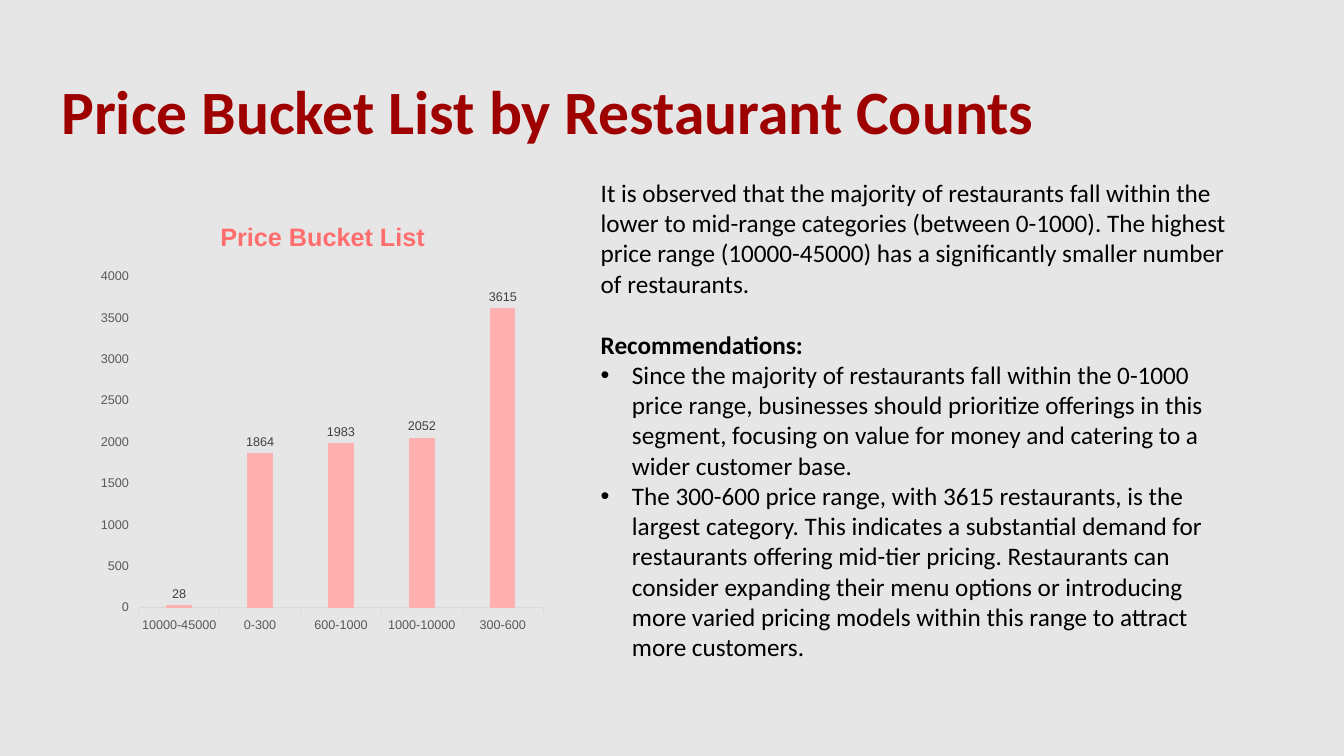
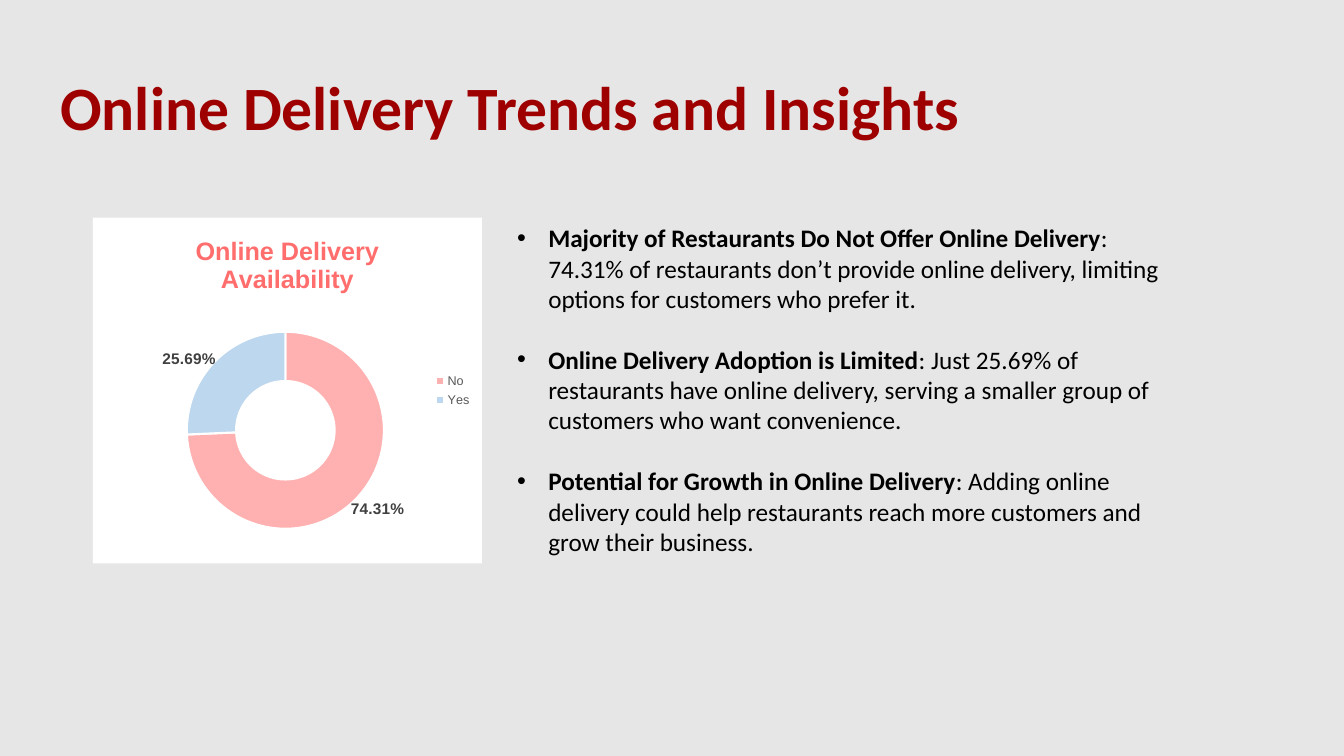
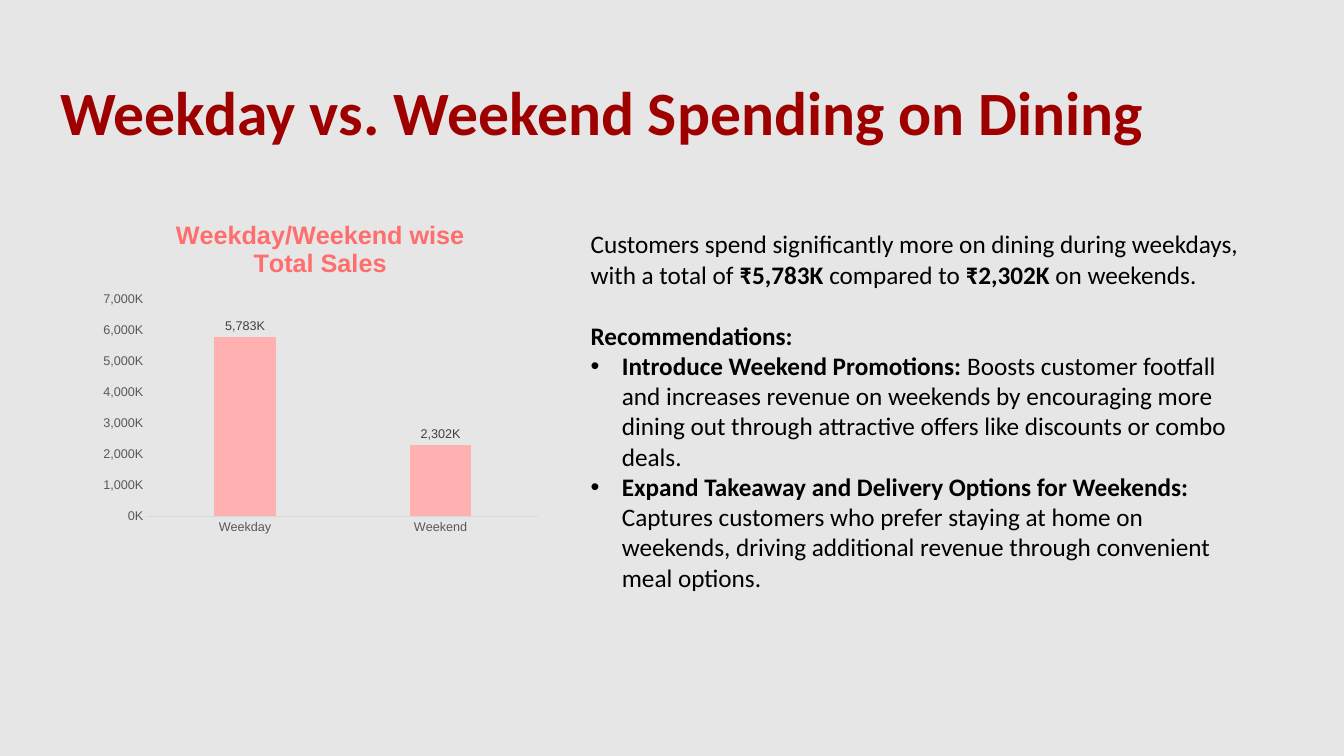
from copy import deepcopy
from dataclasses import dataclass

from pptx import Presentation
from pptx.chart.data import CategoryChartData
from pptx.dml.color import RGBColor as RGB
from pptx.enum.chart import XL_CHART_TYPE as ChartType
from pptx.enum.chart import XL_LABEL_POSITION as LabelPosition
from pptx.enum.chart import XL_LEGEND_POSITION as LegendPosition
from pptx.enum.chart import XL_TICK_MARK as TickMark
from pptx.enum.text import MSO_ANCHOR as Anchor
from pptx.oxml import parse_xml
from pptx.oxml.ns import nsdecls, qn
from pptx.util import Inches, Pt


@dataclass(frozen=True)
class Theme:
    background: RGB = RGB.from_string("E7E6E6")
    title: RGB = RGB.from_string("9E0000")
    body: RGB = RGB.from_string("000000")
    chart_title: RGB = RGB.from_string("FF6D6D")
    pink: RGB = RGB.from_string("FFB1B1")
    blue: RGB = RGB.from_string("BDD7EE")
    white: RGB = RGB.from_string("FFFFFF")
    axis_text: RGB = RGB.from_string("595959")
    axis_line: RGB = RGB.from_string("D9D9D9")
    label: RGB = RGB.from_string("404040")
    text_font: str = "Calibri"
    chart_font: str = "Arial"
    title_size: Pt = Pt(44)
    body_size: Pt = Pt(18)
    paragraph_gap: Pt = Pt(22)
    chart_title_size: Pt = Pt(18)
    chart_size: Pt = Pt(10)
    axis_size: Pt = Pt(9)
    share_size: Pt = Pt(11)


THEME = Theme()
THOUSANDS = r"#,##0,\K"

# Each paragraph is (bulleted, gap before, [(text, bold), ...]).
PAGES = [
    dict(
        title="Price Bucket List by Restaurant Counts",
        title_at=(0.51, 0.41),
        body_at=(5.86, 1.71, 6.56, 4.95),
        body=[
            (False, False, [("It is observed that the majority of restaurants fall within the lower to mid-range categories (between 0-1000). The highest price range (10000-45000) has a significantly smaller number of restaurants.", False)]),
            (False, True, [("Recommendations:", True)]),
            (True, False, [("Since the majority of restaurants fall within the 0-1000 price range, businesses should prioritize offerings in this segment, focusing on value for money and catering to a wider customer base.", False)]),
            (True, False, [("The 300-600 price range, with 3615 restaurants, is the largest category. This indicates a substantial demand for restaurants offering mid-tier pricing. Restaurants can consider expanding their menu options or introducing more varied pricing models within this range to attract more customers.", False)]),
        ],
        kind=ChartType.COLUMN_CLUSTERED,
        chart_title="Price Bucket List",
        chart_at=(0.92, 2, 4.56, 4.38),
        plot_at=(0.1, 0.17, 0.88, 0.75),
        categories=["10000-45000", "0-300", "600-1000", "1000-10000", "300-600"],
        values=[28, 1864, 1983, 2052, 3615],
        number_format="General",
        tick=TickMark.OUTSIDE,
    ),
    dict(
        title="Online Delivery Trends and Insights",
        title_at=(0.5, 0.37),
        body_at=(5.03, 2.16, 6.67, 3.43),
        body=[
            (True, False, [("Majority of Restaurants Do Not Offer Online Delivery", True), (": 74.31% of restaurants don’t provide online delivery, limiting options for customers who prefer it.", False)]),
            (True, True, [("Online Delivery Adoption is Limited", True), (": Just 25.69% of restaurants have online delivery, serving a smaller group of customers who want convenience.", False)]),
            (True, True, [("Potential for Growth in Online Delivery", True), (": Adding online delivery could help restaurants reach more customers and grow their business.", False)]),
        ],
        kind=ChartType.DOUGHNUT,
        chart_title="Online Delivery Availability",
        chart_at=(0.92, 2.16, 3.86, 3.43),
        plot_at=(0.19, 0.33, 0.61, 0.57),
        categories=["No", "Yes"],
        values=[0.7431, 0.2569],
        number_format="0.00%",
    ),
    dict(
        title="Weekday vs. Weekend Spending on Dining",
        title_at=(0.5, 0.42),
        body_at=(5.76, 2.22, 6.66, 3.74),
        body=[
            (False, False, [("Customers spend significantly more on dining during weekdays, with a total of ", False), ("₹5,783K", True), (" compared to ", False), ("₹2,302K", True), (" on weekends.", False)]),
            (False, True, [("Recommendations:", True)]),
            (True, False, [("Introduce Weekend Promotions: ", True), ("Boosts customer footfall and increases revenue on weekends by encouraging more dining out through attractive offers like discounts or combo deals.", False)]),
            (True, False, [("Expand Takeaway and Delivery Options for Weekends: ", True), ("Captures customers who prefer staying at home on weekends, driving additional revenue through convenient meal options.", False)]),
        ],
        kind=ChartType.COLUMN_CLUSTERED,
        chart_title="Weekday/Weekend wise Total Sales",
        chart_at=(0.92, 2, 4.51, 3.36),
        plot_at=(0.12, 0.29, 0.86, 0.64),
        categories=["Weekday", "Weekend"],
        values=[5783000, 2302000],
        number_format=THOUSANDS,
        tick=TickMark.NONE,
    ),
]


def style_font(font, name, size, color, bold=False):
    font.name, font.size, font.bold = name, size, bold
    font.color.rgb = color


def manual_layout(x, y, width, height, inner=False):
    """Return a c:layout placed by fractions of the chart area."""
    target = '<c:layoutTarget val="inner"/>' if inner else ""
    return parse_xml(
        f'<c:layout {nsdecls("c")}><c:manualLayout>{target}'
        '<c:xMode val="edge"/><c:yMode val="edge"/>'
        f'<c:x val="{x}"/><c:y val="{y}"/><c:w val="{width}"/><c:h val="{height}"/>'
        "</c:manualLayout></c:layout>"
    )


deck = Presentation()
deck.slide_width, deck.slide_height = Inches(13.33), Inches(7.5)
master_fill = deck.slide_master.background.fill
master_fill.solid()
master_fill.fore_color.rgb = THEME.background

for content in PAGES:
    page = deck.slides.add_slide(deck.slide_layouts[6])

    left, top = content["title_at"]
    title_box = page.shapes.add_textbox(Inches(left), Inches(top), Inches(11.5), Inches(1.45))
    title_box.text_frame.word_wrap = True
    title_box.text_frame.vertical_anchor = Anchor.MIDDLE
    para = title_box.text_frame.paragraphs[0]
    para.line_spacing = 0.9
    span = para.add_run()
    span.text = content["title"]
    style_font(span.font, THEME.text_font, THEME.title_size, THEME.title, True)

    body_box = page.shapes.add_textbox(*map(Inches, content["body_at"]))
    frame = body_box.text_frame
    frame.word_wrap = True
    for index, (bulleted, gap, spans) in enumerate(content["body"]):
        para = frame.add_paragraph() if index else frame.paragraphs[0]
        if gap:
            para.space_before = THEME.paragraph_gap
        if bulleted:
            properties = para._p.get_or_add_pPr()
            properties.set("marL", str(Inches(0.31)))
            properties.set("indent", str(-Inches(0.31)))
            properties.append(parse_xml(f'<a:buFont {nsdecls("a")} typeface="Arial"/>'))
            properties.append(parse_xml(f'<a:buChar {nsdecls("a")} char="•"/>'))
        for text, bold in spans:
            span = para.add_run()
            span.text = text
            style_font(span.font, THEME.text_font, THEME.body_size, THEME.body, bold)

    data = CategoryChartData(number_format=content["number_format"])
    data.categories = content["categories"]
    data.add_series("Series 1", content["values"])
    chart = page.shapes.add_chart(content["kind"], *map(Inches, content["chart_at"]), data).chart
    style_font(chart.font, THEME.chart_font, THEME.chart_size, THEME.body)
    chart.has_title = True
    chart.chart_title.include_in_layout = False
    span = chart.chart_title.text_frame.paragraphs[0].add_run()
    span.text = content["chart_title"]
    style_font(span.font, THEME.chart_font, THEME.chart_title_size, THEME.chart_title, True)

    chart_xml = chart._chartSpace.find(qn("c:chart"))
    plot_area = chart_xml.find(qn("c:plotArea"))
    for old_layout in plot_area.findall(qn("c:layout")):
        plot_area.remove(old_layout)
    plot_area.insert(0, manual_layout(*content["plot_at"], inner=True))

    is_doughnut = content["kind"] == ChartType.DOUGHNUT
    area_fill = "<a:noFill/>"
    if is_doughnut:
        area_fill = f'<a:solidFill><a:srgbClr val="{THEME.white}"/></a:solidFill>'
    chart_xml.addnext(parse_xml(
        f'<c:spPr {nsdecls("c", "a")}>{area_fill}<a:ln><a:noFill/></a:ln></c:spPr>'
    ))

    plot = chart.plots[0]
    plot.vary_by_categories = is_doughnut
    series = plot.series[0]
    labels = series.data_labels
    labels.show_value = True
    labels.number_format = content["number_format"]
    labels.number_format_is_linked = False
    label_size = THEME.share_size if is_doughnut else THEME.axis_size
    style_font(labels.font, THEME.chart_font, label_size, THEME.label, is_doughnut)

    if is_doughnut:
        labels.show_percentage = False
        plot_area.find(".//" + qn("c:holeSize")).set("val", "75")
        for index, color in enumerate((THEME.pink, THEME.blue)):
            share = series.points[index].format
            share.fill.solid()
            share.fill.fore_color.rgb = color
            share.line.color.rgb = THEME.white
            share.line.width = Pt(1.5)

        # Shift each label from the ring to its outer side.
        labels_xml = labels._element
        for index, (x, y) in enumerate([(0.1, 0.08), (-0.11, -0.06)]):
            label_xml = parse_xml(
                f'<c:dLbl {nsdecls("c")}><c:idx val="{index}"/><c:layout><c:manualLayout>'
                f'<c:x val="{x}"/><c:y val="{y}"/></c:manualLayout></c:layout>'
                '<c:showLegendKey val="0"/><c:showVal val="1"/><c:showCatName val="0"/>'
                '<c:showSerName val="0"/><c:showPercent val="0"/><c:showBubbleSize val="0"/>'
                "</c:dLbl>"
            )
            for offset, tag in enumerate(("c:numFmt", "c:txPr")):
                label_xml.insert(2 + offset, deepcopy(labels_xml.find(qn(tag))))
            labels_xml.insert(index, label_xml)

        chart.has_legend = True
        chart.legend.position = LegendPosition.RIGHT
        chart.legend.include_in_layout = False
        style_font(chart.legend.font, THEME.chart_font, THEME.axis_size, THEME.axis_text)
        legend_position = chart_xml.find(qn("c:legend")).find(qn("c:legendPos"))
        legend_position.addnext(manual_layout(0.43, 0.54, 0.13, 0.14))
    else:
        chart.has_legend = False
        plot.gap_width, plot.overlap = 219, -27
        labels.position = LabelPosition.OUTSIDE_END
        series.format.fill.solid()
        series.format.fill.fore_color.rgb = THEME.pink
        for axis in (chart.category_axis, chart.value_axis):
            axis.has_major_gridlines = False
            axis.major_tick_mark = content["tick"]
            axis.minor_tick_mark = TickMark.NONE
            style_font(axis.tick_labels.font, THEME.chart_font, THEME.axis_size, THEME.axis_text)
        chart.category_axis.format.line.color.rgb = THEME.axis_line
        chart.category_axis.format.line.width = Pt(0.75)
        chart.value_axis.format.line.fill.background()
        chart.value_axis.tick_labels.number_format = content["number_format"]
        chart.value_axis.tick_labels.number_format_is_linked = False

deck.save("out.pptx")
